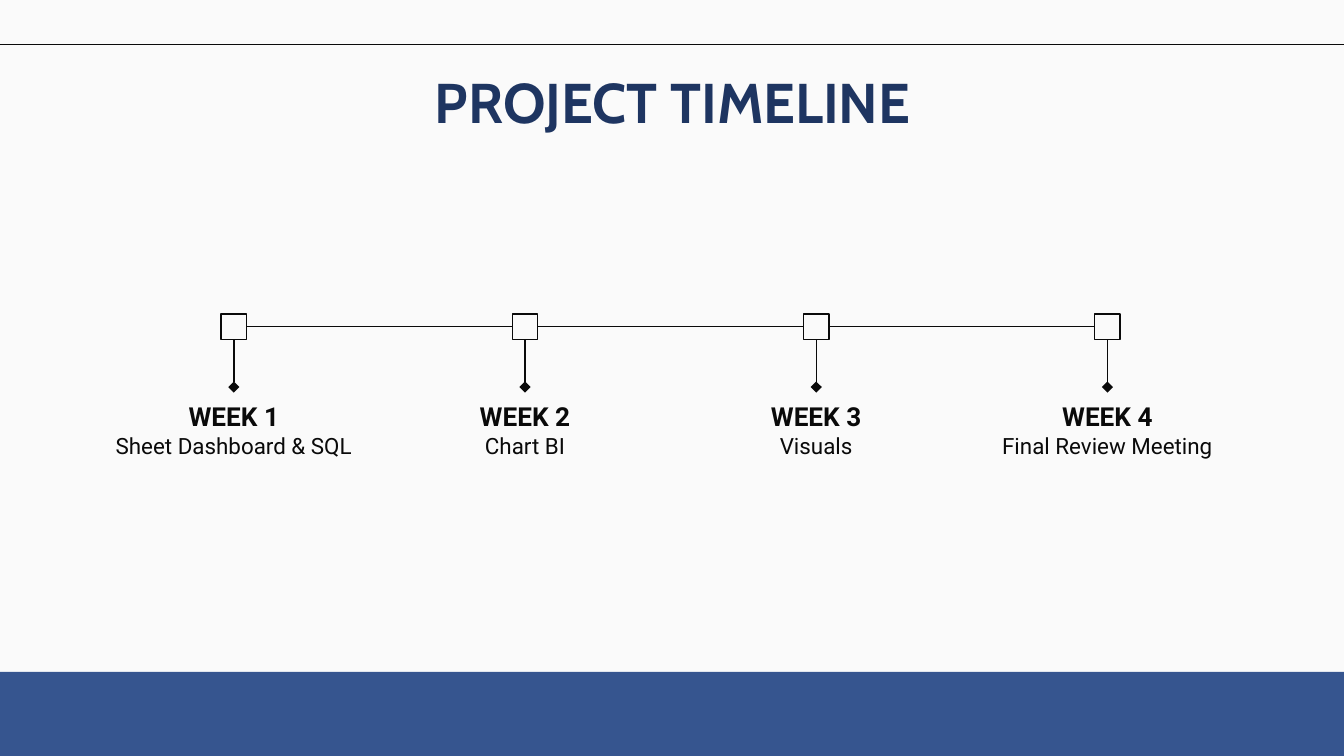
from lxml import etree
from pptx import Presentation
from pptx.dml.color import RGBColor
from pptx.enum import shapes, text
from pptx.oxml.ns import qn
from pptx.util import Inches, Pt

# Content
TITLE = "PROJECT TIMELINE"
WEEKS = [
    ("WEEK 1", "Sheet Dashboard & SQL"),
    ("WEEK 2", "Chart BI"),
    ("WEEK 3", "Visuals"),
    ("WEEK 4", "Final Review Meeting"),
]
COLORS = {"bg": "FAFAFA", "band": "36558F", "title": "1E3561", "ink": "0A0A0A"}

# Layout in inches
FIRST_X, LAST_X = 1.74, 8.24
STEP = (LAST_X - FIRST_X) / (len(WEEKS) - 1)
AXIS_Y, BOX = 2.43, 0.19
LABEL_TOP, LABEL_W, LABEL_H = 2.88, 2.17, 0.62


def rgb(name):
    return RGBColor.from_string(COLORS[name])


def add_text(p, content, **fmt):
    p.alignment = text.PP_ALIGN.CENTER
    r = p.add_run()
    r.text = content
    r.font.color.rgb = rgb(fmt.pop("color"))
    for name, value in fmt.items():
        setattr(r.font, name, value)


def set_frame(tf):
    fmt = {"word_wrap": True, "auto_size": text.MSO_AUTO_SIZE.NONE,
           "vertical_anchor": text.MSO_ANCHOR.TOP}
    for side in ("left", "top", "right", "bottom"):
        fmt["margin_" + side] = Inches(0.1)
    for name, value in fmt.items():
        setattr(tf, name, value)


def add_line(s, x1, y1, x2, y2, tail=None):
    line = s.shapes.add_connector(shapes.MSO_CONNECTOR.STRAIGHT,
                                  *map(Inches, (x1, y1, x2, y2)))
    line.line.color.rgb = rgb("ink")
    line.line.width = Pt(0.75)
    if tail:
        ln = line._element.spPr.find(qn("a:ln"))
        etree.SubElement(ln, qn("a:tailEnd"), type=tail)
    etree.SubElement(line._element.spPr, qn("a:effectLst"))


def add_rect(s, x, y, w, h):
    sp = s.shapes.add_shape(shapes.MSO_SHAPE.RECTANGLE,
                            *map(Inches, (x, y, w, h)))
    sp.shadow.inherit = False
    return sp


# Slide in 16:9
prs = Presentation()
prs.slide_width = Inches(10)
prs.slide_height = Inches(10 * 9 / 16)
s = prs.slides.add_slide(prs.slide_layouts[5])
s.background.fill.solid()
s.background.fill.fore_color.rgb = rgb("bg")

# Bottom band and top rule
band = add_rect(s, -0.06, 5, 10.12, 0.65)
band.fill.solid()
band.fill.fore_color.rgb = rgb("band")
band.line.fill.background()
add_line(s, 10.73, 0.33, -0.22, 0.33)

# Title
title = s.shapes.title
title.left, title.top, title.width, title.height = map(
    Inches, (0.79, 0.4, 8.43, 0.6))
set_frame(title.text_frame)
add_text(title.text_frame.paragraphs[0], TITLE,
         name="Cabin", size=Pt(30), bold=True, color="title")

# Timeline: box, label, stem and link to the next week
for i, (week, task) in enumerate(WEEKS):
    x = FIRST_X + i * STEP
    box = add_rect(s, x - BOX / 2, AXIS_Y - BOX / 2, BOX, BOX)
    box.fill.background()
    box.line.color.rgb = rgb("ink")
    box.line.width = Pt(0.75)

    label = s.shapes.add_textbox(*map(
        Inches, (x - LABEL_W / 2, LABEL_TOP, LABEL_W, LABEL_H)))
    tf = label.text_frame
    set_frame(tf)
    add_text(tf.paragraphs[0], week,
             name="Roboto", size=Pt(14), bold=True, color="ink")
    add_text(tf.add_paragraph(), task,
             name="Roboto", size=Pt(12), bold=False, color="ink")

    add_line(s, x, AXIS_Y + BOX / 2, x, LABEL_TOP, tail="diamond")
    if i < len(WEEKS) - 1:
        add_line(s, x + BOX / 2, AXIS_Y, x + STEP - BOX / 2, AXIS_Y)

prs.save("out.pptx")
